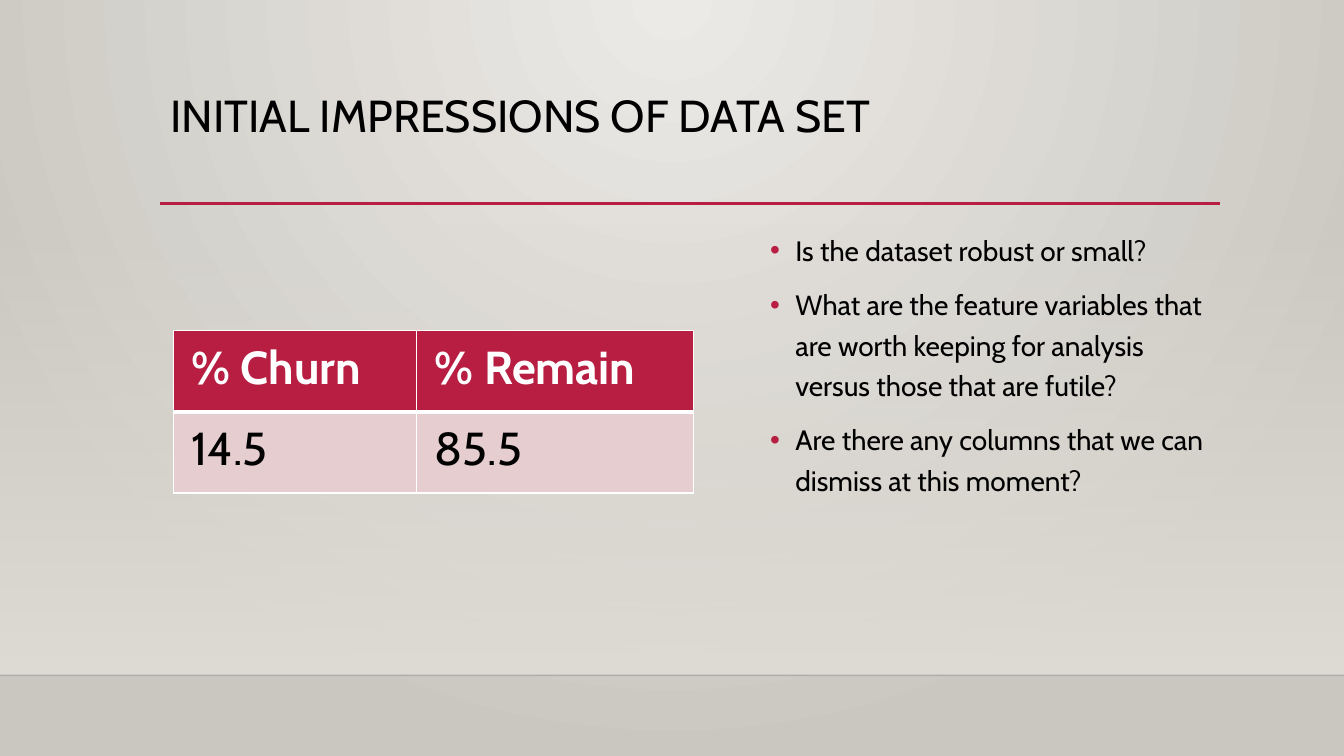
"""Build the slide on first impressions of the churn data set."""
from lxml.etree import SubElement
from pptx import Presentation
from pptx.dml.color import RGBColor
from pptx.enum.shapes import MSO_CONNECTOR, MSO_SHAPE
from pptx.oxml.ns import qn
from pptx.util import Pt

FONT = "Cabin"
RED, BLACK, WHITE, PINK, SAND = "B71E42", "000000", "FFFFFF", "E6CDCF", "DFDBD5"
WIDE, HIGH = 960, 540
TITLE = "INITIAL IMPRESSIONS OF DATA SET"
POINTS = [
    "Is the dataset robust or small?",
    "What are the feature variables that are worth keeping for analysis "
    "versus those that are futile?",
    "Are there any columns that we can dismiss at this moment?",
]
ROWS = [["% Churn", "% Remain"], ["14.5", "85.5"]]
COLS, ROW = [173.8, 197.6], 58
STYLES = [(RED, WHITE, True, 3), (PINK, BLACK, False, 1)]
FLOOR = 482.4
RULES = [(0, WIDE, FLOOR, "000001", 1, 20), (114.5, 871.2, 145.4, RED, 2.5, 100)]


def color(code):
    return RGBColor.from_string(code)


def node(parent, tag, **attrs):
    return SubElement(parent, qn(tag), {k: str(v) for k, v in attrs.items()})


def blend(fill, root, stops):
    fill.gradient()
    grad = next(root.iter(qn("a:gradFill")))
    for child in list(grad):
        grad.remove(child)
    group = node(grad, "a:gsLst")
    for pos, code, alpha in stops:
        stop = node(group, "a:gs", pos=pos * 1000)
        tint = node(stop, "a:srgbClr", val=code)
        node(tint, "a:alpha", val=alpha * 1000)
    return grad


def write(para, text, size, code, bold=False):
    run = para.add_run()
    run.text = text
    font = run.font
    font.name, font.size, font.bold = FONT, Pt(size), bold
    font.color.rgb = color(code)


def box(slide, *place):
    frame = slide.shapes.add_textbox(*map(Pt, place)).text_frame
    frame.word_wrap = True
    return frame


def rule(slide, left, right, top, code, width, alpha):
    line = slide.shapes.add_connector(
        MSO_CONNECTOR.STRAIGHT, Pt(left), Pt(top), Pt(right), Pt(top))
    line.line.width = Pt(width)
    line.line.color.rgb = color(code)
    node(line.element.spPr, "a:effectLst")
    tint = next(line.element.spPr.iter(qn("a:srgbClr")))
    node(tint, "a:alpha", val=alpha * 1000)


def backdrop(slide):
    grad = blend(slide.background.fill, slide.element,
                 [(0, "ECEAE7", 100), (100, "CAC7C1", 100)])
    ring = node(grad, "a:path", path="circle")
    node(ring, "a:fillToRect", l=43000, t=0, r=43000, b=100000)
    wall = slide.shapes.add_shape(
        MSO_SHAPE.RECTANGLE, 0, Pt(159), Pt(WIDE), Pt(FLOOR - 159))
    wall.shadow.inherit = False
    wall.line.fill.background()
    grad = blend(wall.fill, wall.element, [(0, SAND, 0), (100, SAND, 100)])
    node(grad, "a:lin", ang=5400000, scaled=0)


def bullets(slide):
    frame = box(slide, 543, 158.4, 327.6, 271.4)
    for i, text in enumerate(POINTS):
        para = frame.add_paragraph() if i else frame.paragraphs[0]
        props = para._p.get_or_add_pPr()
        props.set("marL", str(Pt(18)))
        props.set("indent", str(-Pt(18)))
        node(node(props, "a:buClr"), "a:srgbClr", val=RED)
        node(props, "a:buFont", typeface="Arial")
        node(props, "a:buChar", char="•")
        para.line_spacing = 1.2
        para.space_before = Pt(10 if i else 0)
        write(para, text, 20, BLACK)


def edges(cell, base):
    props = cell._tc.get_or_add_tcPr()
    for side, width in [("L", 1), ("R", 1), ("T", 1), ("B", base)]:
        line = node(props, "a:ln" + side, w=Pt(width))
        node(node(line, "a:solidFill"), "a:srgbClr", val=WHITE)


def grid(slide):
    table = slide.shapes.add_table(
        len(ROWS), len(COLS), Pt(123.8), Pt(236.2),
        Pt(sum(COLS)), Pt(ROW * len(ROWS))).table
    for col, width in zip(table.columns, COLS):
        col.width = Pt(width)
    for r, (texts, style) in enumerate(zip(ROWS, STYLES)):
        back, ink, bold, base = style
        table.rows[r].height = Pt(ROW)
        for c, text in enumerate(texts):
            cell = table.cell(r, c)
            cell.margin_left = cell.margin_right = Pt(13)
            cell.margin_top = cell.margin_bottom = Pt(6.5)
            edges(cell, base)
            cell.fill.solid()
            cell.fill.fore_color.rgb = color(back)
            write(cell.text_frame.paragraphs[0], text, 33, ink, bold)


def main():
    deck = Presentation()
    deck.slide_width, deck.slide_height = Pt(WIDE), Pt(HIGH)
    slide = deck.slides.add_slide(deck.slide_layouts[6])
    backdrop(slide)
    for line in RULES:
        rule(slide, *line)
    head = box(slide, 114.5, 63.4, 756, 82.8).paragraphs[0]
    head.line_spacing = 0.9
    write(head, TITLE, 32, BLACK)
    bullets(slide)
    grid(slide)
    deck.save("out.pptx")


if __name__ == "__main__":
    main()
